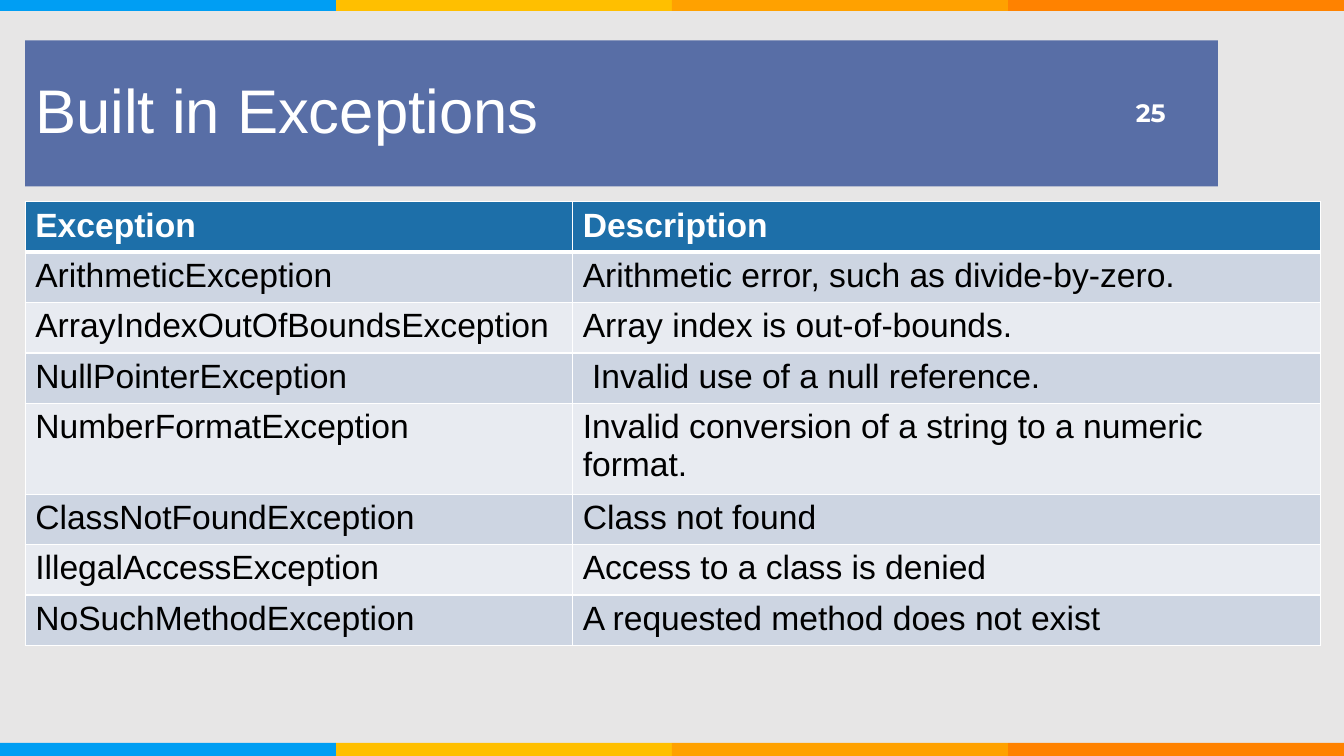
import pptx
import pptx.util
import pptx.dml.color
import pptx.enum.shapes
import pptx.enum.text
import pptx.oxml
import pptx.oxml.ns

Inches = pptx.util.Inches
Pt = pptx.util.Pt
RGBColor = pptx.dml.color.RGBColor
ALIGN = pptx.enum.text.PP_ALIGN
MIDDLE = pptx.enum.text.MSO_ANCHOR.MIDDLE

GREY = RGBColor(0xE7, 0xE6, 0xE6)
WHITE = RGBColor(0xFF, 0xFF, 0xFF)
BLACK = RGBColor(0x00, 0x00, 0x00)
INDIGO = RGBColor(0x58, 0x6E, 0xA6)
BLUE = RGBColor(0x1D, 0x6F, 0xA9)
DARK = RGBColor(0xCD, 0xD5, 0xE2)
LIGHT = RGBColor(0xE8, 0xEB, 0xF1)
STRIPES = [
    RGBColor(0x00, 0x9E, 0xF3),
    RGBColor(0xFF, 0xBF, 0x00),
    RGBColor(0xFF, 0xA1, 0x00),
    RGBColor(0xFF, 0x82, 0x00),
]

WIDTH, HEIGHT = 13.33, 7.5
ROWS = [
    ("Exception", "Description"),
    ("ArithmeticException", "Arithmetic error, such as divide-by-zero."),
    ("ArrayIndexOutOfBoundsException", "Array index is out-of-bounds."),
    ("NullPointerException", " Invalid use of a null reference."),
    ("NumberFormatException",
     "Invalid conversion of a string to a numeric format."),
    ("ClassNotFoundException", "Class not found"),
    ("IllegalAccessException", "Access to a class is denied"),
    ("NoSuchMethodException", "A requested method does not exist"),
]


def style(para, name, size, color, bold=False):
    font = para.font
    font.name = name
    font.size = Pt(size)
    font.bold = bold
    font.color.rgb = color


def add_band(slide, left, top, width, height):
    """Row of equal colour stripes."""
    step = width / len(STRIPES)
    for i, color in enumerate(STRIPES):
        bar = slide.shapes.add_shape(
            pptx.enum.shapes.MSO_SHAPE.RECTANGLE,
            Inches(left + i * step), Inches(top), Inches(step), Inches(height))
        bar.shadow.inherit = False
        bar.fill.solid()
        bar.fill.fore_color.rgb = color
        bar.line.fill.background()


def add_head(slide, left, top, width, height):
    """Title bar with the page number at its right."""
    title = slide.shapes.title
    title.left, title.top = Inches(left), Inches(top)
    title.width, title.height = Inches(width), Inches(height)
    title.fill.solid()
    title.fill.fore_color.rgb = INDIGO
    frame = title.text_frame
    frame.text = "Built in Exceptions"
    frame.auto_size = pptx.enum.text.MSO_AUTO_SIZE.NONE
    frame.vertical_anchor = MIDDLE
    para = frame.paragraphs[0]
    para.alignment = ALIGN.LEFT
    para.line_spacing = 0.9
    style(para, "Arial", 44, WHITE)

    # Page number
    page = slide.shapes.add_textbox(
        Inches(left + width - 0.99), Inches(top + 0.52),
        Inches(0.57), Inches(0.4))
    frame = page.text_frame
    frame.word_wrap = True
    frame.vertical_anchor = MIDDLE
    frame.text = "25"
    para = frame.paragraphs[0]
    para.alignment = ALIGN.RIGHT
    style(para, "Montserrat", 18, WHITE, True)


def add_edges(cell, top, bottom):
    """White cell borders; top and bottom widths in points."""
    props = cell._tc.get_or_add_tcPr()
    for side, size in (("L", 1), ("R", 1), ("T", top), ("B", bottom)):
        props.append(pptx.oxml.parse_xml(
            f'<a:ln{side} {pptx.oxml.ns.nsdecls("a")} w="{Pt(size)}">'
            f'<a:solidFill><a:srgbClr val="{WHITE}"/></a:solidFill>'
            f'</a:ln{side}>'))


def add_grid(slide, left, top, width, height):
    """Table of exceptions with a header and banded rows."""
    table = slide.shapes.add_table(
        len(ROWS), 2, Inches(left), Inches(top),
        Inches(width), Inches(height)).table
    first = 5.43
    table.columns[0].width = Inches(first)
    table.columns[1].width = Inches(width - first)
    for r, texts in enumerate(ROWS):
        head = r == 0
        for c, text in enumerate(texts):
            cell = table.cell(r, c)
            add_edges(cell, 3 if r == 1 else 1, 3 if head else 1)
            cell.fill.solid()
            cell.fill.fore_color.rgb = BLUE if head else (LIGHT, DARK)[r % 2]
            cell.text = text
            style(cell.text_frame.paragraphs[0], "Arial", 24,
                  WHITE if head else BLACK, head)


def main():
    deck = pptx.Presentation()
    deck.slide_width, deck.slide_height = Inches(WIDTH), Inches(HEIGHT)
    slide = deck.slides.add_slide(deck.slide_layouts[5])
    slide.background.fill.solid()
    slide.background.fill.fore_color.rgb = GREY
    for top in (-0.02, 7.37):
        add_band(slide, 0, top, WIDTH, 0.13)
    add_head(slide, 0.25, 0.4, 11.83, 1.45)
    add_grid(slide, 0.25, 2, 12.85, 0.41 * len(ROWS))
    deck.save("out.pptx")


if __name__ == "__main__":
    main()
